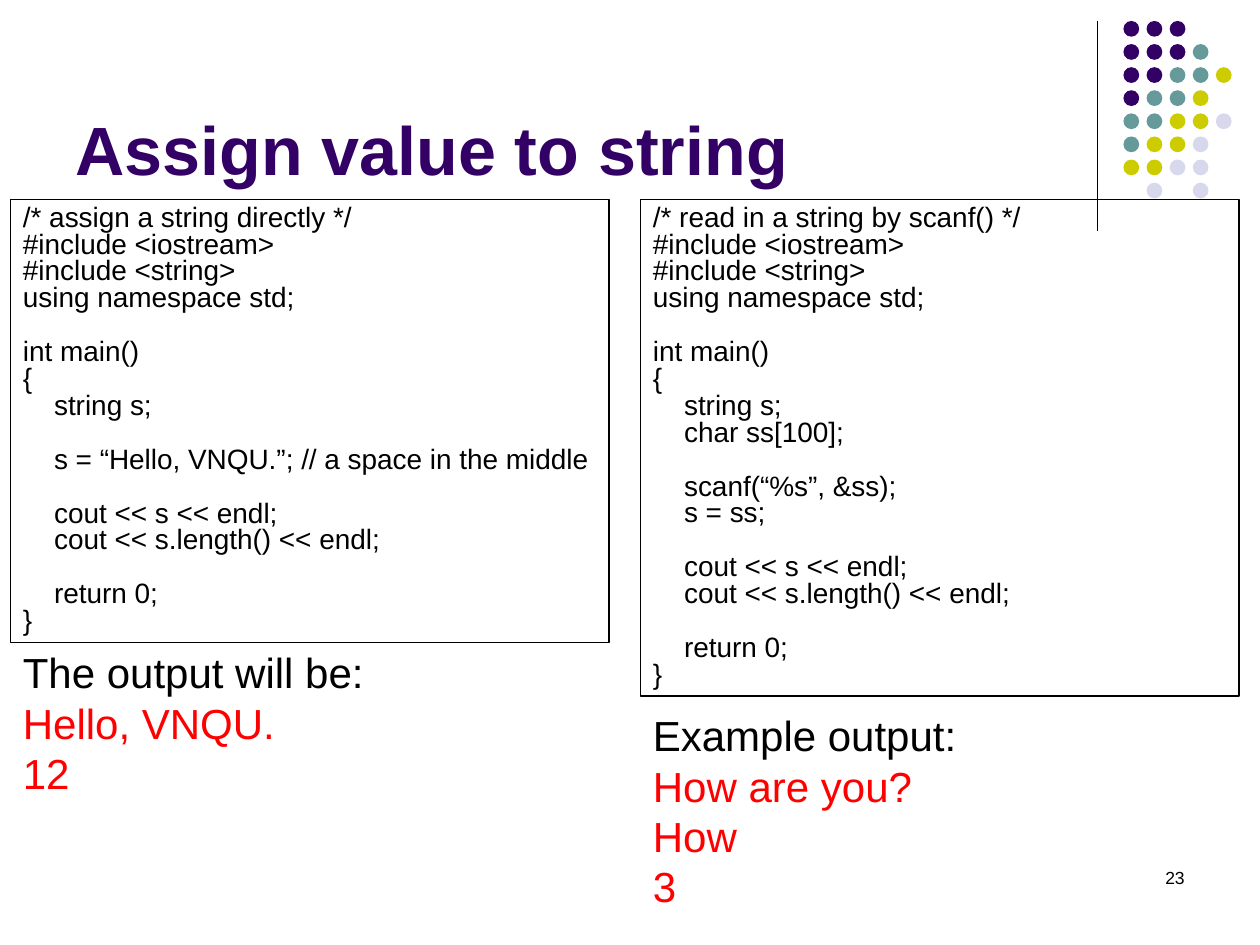
from dataclasses import dataclass

from lxml import etree
from pptx import Presentation
from pptx.dml.color import RGBColor
from pptx.enum.shapes import MSO_CONNECTOR, MSO_SHAPE
from pptx.enum.text import MSO_ANCHOR, PP_ALIGN
from pptx.oxml.ns import qn
from pptx.util import Inches, Pt

RECT, OVAL = MSO_SHAPE.RECTANGLE, MSO_SHAPE.OVAL
STRAIGHT = MSO_CONNECTOR.STRAIGHT
TOP, BOTTOM = MSO_ANCHOR.TOP, MSO_ANCHOR.BOTTOM
LEFT, RIGHT = PP_ALIGN.LEFT, PP_ALIGN.RIGHT

FONT = "Arial"
COLORS = {"purple": "330066", "teal": "669999", "olive": "CCCC00",
          "pale": "D8D8EC", "black": "000000", "red": "FF0000"}

# Slide grid: 120 columns by 90 rows
SLIDE_W, SLIDE_H = Inches(10), Inches(7.5)
COL, ROW = SLIDE_W / 120, SLIDE_H / 90

DOT_COLORS = {"P": "purple", "T": "teal", "O": "olive", "L": "pale"}
DOT_ROWS = ("PPP", "PPPT", "PPTTO", "PTTO", "TTOOL", "TOOL", "OOLL", " L L")
DOT_LEFT, DOT_TOP, DOT_PITCH, DOT_SIZE = 107, 2, 2.2, 1.5

CODE_SIZE, CODE_SPACING, CODE_GAP, CODE_INDENT = 16, 0.8, 15.4, 17.8
OUTPUT_SIZE = 24

ASSIGN_CODE = """/* assign a string directly */
#include <iostream>
#include <string>
using namespace std;

int main()
{
    string s;

    s = “Hello, VNQU.”; // a space in the middle

    cout << s << endl;
    cout << s.length() << endl;

    return 0;
}"""

SCANF_CODE = """/* read in a string by scanf() */
#include <iostream>
#include <string>
using namespace std;

int main()
{
    string s;
    char ss[100];

    scanf(“%s”, &ss);
    s = ss;

    cout << s << endl;
    cout << s.length() << endl;

    return 0;
}"""


@dataclass(frozen=True)
class Box:
    """Place on the slide grid, in columns and rows."""
    col: float
    row: float
    cols: float
    rows: float

    def emu(self) -> tuple[int, int, int, int]:
        return (round(self.col * COL), round(self.row * ROW),
                round(self.cols * COL), round(self.rows * ROW))


@dataclass(frozen=True)
class Line:
    text: str
    size: float
    color: str = "black"
    bold: bool = False
    align: PP_ALIGN = LEFT
    spacing: float = 1.0
    before: float = 0
    indent: float = 0


@dataclass(frozen=True)
class Example:
    code_box: Box
    code: str
    output_box: Box
    heading: str
    output: tuple[str, ...]


EXAMPLES = (
    Example(Box(1, 19, 57, 42.2), ASSIGN_CODE, Box(1, 61, 53, 15.6),
            "The output will be:", ("Hello, VNQU.", "12")),
    Example(Box(61, 19, 57, 47.3), SCANF_CODE, Box(61, 67, 53, 20.4),
            "Example output:", ("How are you?", "How", "3")),
)


def rgb(name: str) -> RGBColor:
    return RGBColor.from_string(COLORS[name])


def write_lines(shape, lines: list[Line], anchor: MSO_ANCHOR = TOP) -> None:
    tf = shape.text_frame
    tf.word_wrap = True
    tf.vertical_anchor = anchor
    for i, line in enumerate(lines):
        p = tf.add_paragraph() if i else tf.paragraphs[0]
        p.alignment = line.align
        p.line_spacing = line.spacing
        p.space_before = Pt(line.before)
        if line.indent:
            p._p.get_or_add_pPr().set("marL", str(Pt(line.indent)))
        r = p.add_run()
        r.text = line.text
        r.font.name, r.font.size, r.font.bold = FONT, Pt(line.size), line.bold
        r.font.color.rgb = rgb(line.color)


def add_text(s, box: Box, lines: list[Line], anchor: MSO_ANCHOR = TOP) -> None:
    write_lines(s.shapes.add_textbox(*box.emu()), lines, anchor)


def code_lines(code: str) -> list[Line]:
    """Turn blank source lines into spacing and leading spaces into indents."""
    lines, gap = [], 0
    for source in code.splitlines():
        text = source.strip()
        if not text:
            gap = CODE_GAP
            continue
        indent = CODE_INDENT if source.startswith(" ") else 0
        lines.append(Line(text, CODE_SIZE, spacing=CODE_SPACING,
                          before=gap, indent=indent))
        gap = 0
    return lines


def add_example(s, example: Example) -> None:
    sp = s.shapes.add_shape(RECT, *example.code_box.emu())
    sp.shadow.inherit = False
    sp.fill.background()
    sp.line.color.rgb = rgb("black")
    sp.line.width = Pt(0.75)
    write_lines(sp, code_lines(example.code))
    heading = Line(example.heading, OUTPUT_SIZE)
    output = [Line(text, OUTPUT_SIZE, "red") for text in example.output]
    add_text(s, example.output_box, [heading, *output])


def add_dots(s) -> None:
    group = s.shapes.add_group_shape()
    for j, keys in enumerate(DOT_ROWS):
        for i, key in enumerate(keys):
            if key not in DOT_COLORS:
                continue
            box = Box(DOT_LEFT + i * DOT_PITCH, DOT_TOP + j * DOT_PITCH,
                      DOT_SIZE, DOT_SIZE)
            dot = group.shapes.add_shape(OVAL, *box.emu())
            dot.shadow.inherit = False
            dot.fill.solid()
            dot.fill.fore_color.rgb = rgb(DOT_COLORS[key])
            dot.line.fill.background()


def add_rule(s, col: float, top: float, bottom: float) -> None:
    x = round(col * COL)
    rule = s.shapes.add_connector(STRAIGHT, x, round(top * ROW),
                                  x, round(bottom * ROW))
    rule.line.color.rgb = rgb("black")
    rule.line.width = Pt(0.75)
    etree.SubElement(rule._element.spPr, qn("a:effectLst"))


def main() -> None:
    prs = Presentation()
    prs.slide_width, prs.slide_height = SLIDE_W, SLIDE_H
    s = prs.slides.add_slide(prs.slide_layouts[6])
    add_rule(s, 104.5, 2, 22)
    add_dots(s)
    add_text(s, Box(6, 1.6, 99, 17),
             [Line("Assign value to string", 39, "purple", bold=True)], BOTTOM)
    add_text(s, Box(86, 82, 28, 6), [Line("23", 10, align=RIGHT)])
    for example in EXAMPLES:
        add_example(s, example)
    prs.save("out.pptx")


if __name__ == "__main__":
    main()
